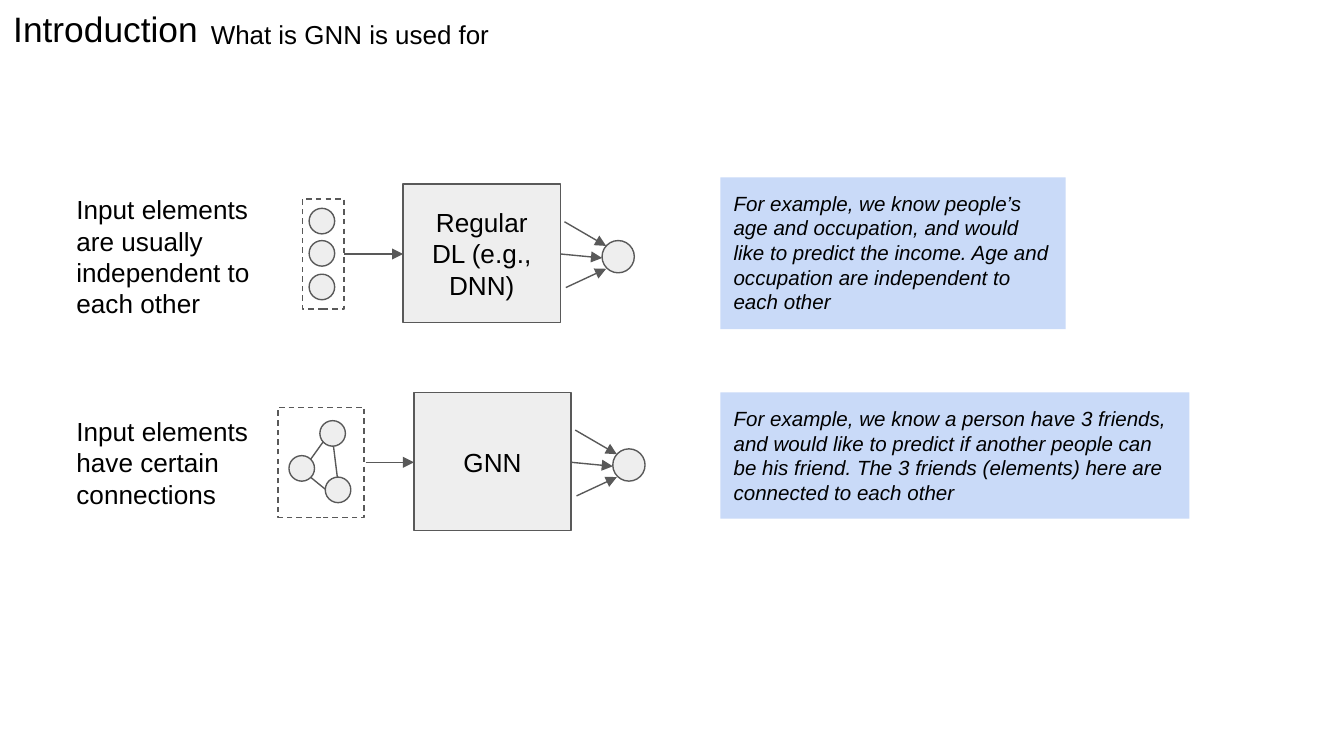
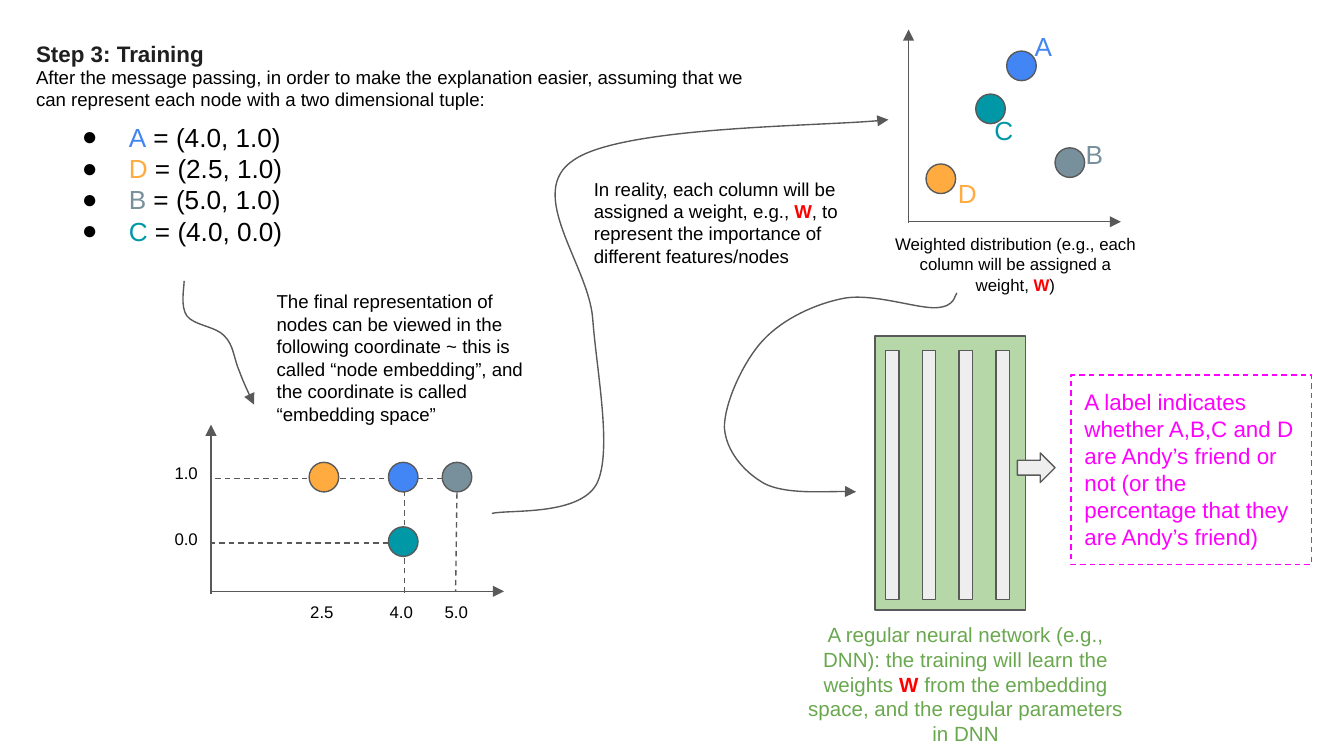
"""Build two slides on what a GNN is used for and how it is trained."""
import pptx
import pptx.dml.color
import pptx.enum.dml
import pptx.enum.shapes
import pptx.enum.text
import pptx.oxml
import pptx.oxml.ns
import pptx.util
from pptx.dml.color import RGBColor
from pptx.enum.shapes import MSO_SHAPE
from pptx.util import Inches

BLACK = RGBColor(0x00, 0x00, 0x00)
HEADING = RGBColor(0x1F, 0x1F, 0x1F)
GREY = RGBColor(0x59, 0x59, 0x59)
LIGHT_GREY = RGBColor(0xEE, 0xEE, 0xEE)
PALE_BLUE = RGBColor(0xC9, 0xDA, 0xF8)
PALE_GREEN = RGBColor(0xB6, 0xD7, 0xA8)
GREEN = RGBColor(0x6A, 0xA8, 0x4F)
MAGENTA = RGBColor(0xFF, 0x00, 0xFF)
RED = RGBColor(0xFF, 0x00, 0x00)
NODE_COLOURS = {
    "A": RGBColor(0x42, 0x85, 0xF4),
    "B": RGBColor(0x78, 0x90, 0x9C),
    "C": RGBColor(0x00, 0x97, 0xA7),
    "D": RGBColor(0xFF, 0xAB, 0x40),
}
FONT = "Arial"
LINE_WIDTH = pptx.util.Pt(0.75)
DASH = pptx.enum.dml.MSO_LINE.DASH
CENTER = pptx.enum.text.PP_ALIGN.CENTER
LEFT = pptx.enum.text.PP_ALIGN.LEFT
TOP = pptx.enum.text.MSO_ANCHOR.TOP
MIDDLE = pptx.enum.text.MSO_ANCHOR.MIDDLE
BOTTOM = pptx.enum.text.MSO_ANCHOR.BOTTOM


def add_box(slide, place, kind=None, fill=None, line=GREY, dashed=False, text=(),
            size=14, colour=BLACK, align=LEFT, anchor=TOP, bold=False, italic=False):
    """Add a shape, or a text box without a kind; text holds paragraphs of (words, colour) runs."""
    place = [Inches(length) for length in place]
    if kind is None:
        shape = slide.shapes.add_textbox(*place)
    else:
        shape = slide.shapes.add_shape(kind, *place)
        shape.shadow.inherit = False
        if fill is None:
            shape.fill.background()
        else:
            shape.fill.solid()
            shape.fill.fore_color.rgb = fill
        if line is None:
            shape.line.fill.background()
        else:
            shape.line.color.rgb = line
            shape.line.width = LINE_WIDTH
            if dashed:
                shape.line.dash_style = DASH
    frame = shape.text_frame
    frame.word_wrap = True
    frame.vertical_anchor = anchor
    frame.margin_left = frame.margin_right = Inches(0.1)
    frame.margin_top = frame.margin_bottom = Inches(0.1)
    paragraphs = [[(text, colour)]] if isinstance(text, str) else text
    for index, runs in enumerate(paragraphs):
        paragraph = frame.add_paragraph() if index else frame.paragraphs[0]
        paragraph.alignment = align
        for words, run_colour in runs:
            run = paragraph.add_run()
            run.text = words
            run.font.name = FONT
            run.font.size = pptx.util.Pt(size)
            run.font.bold = bold or run_colour == RED
            run.font.italic = italic
            run.font.color.rgb = run_colour
    return shape


def add_line(slide, points, arrow=True, dashed=False):
    """Add a straight line through two points, or a Bezier curve through more."""
    points = [(Inches(x), Inches(y)) for x, y in points]
    if len(points) == 2:
        line = slide.shapes.add_connector(
            pptx.enum.shapes.MSO_CONNECTOR.STRAIGHT, *points[0], *points[1])
    else:
        builder = slide.shapes.build_freeform(*points[0])
        builder.add_line_segments(points[1:], close=False)
        line = builder.convert_to_shape()
        line.fill.background()
        segments = list(line.element.iter(pptx.oxml.ns.qn("a:lnTo")))
        for start in range(0, len(segments), 3):
            curve = pptx.oxml.parse_xml(f"<a:cubicBezTo {pptx.oxml.ns.nsdecls('a')}/>")
            segments[start].addprevious(curve)
            for segment in segments[start:start + 3]:
                curve.append(segment[0])
                segment.getparent().remove(segment)
    line.line.color.rgb = GREY
    line.line.width = LINE_WIDTH
    if dashed:
        line.line.dash_style = DASH
    properties = line.element.spPr
    if arrow:
        properties.find(pptx.oxml.ns.qn("a:ln")).append(pptx.oxml.parse_xml(
            f"<a:tailEnd {pptx.oxml.ns.nsdecls('a')} type='triangle'/>"))
    properties.append(pptx.oxml.parse_xml(f"<a:effectLst {pptx.oxml.ns.nsdecls('a')}/>"))


presentation = pptx.Presentation()
presentation.slide_width = Inches(10)
presentation.slide_height = presentation.slide_width * 9 // 16
blank = presentation.slide_layouts[6]

slide = presentation.slides.add_slide(blank)
add_box(slide, (0, 0, 2.05, 0.47), text="Introduction", size=18.9, anchor=BOTTOM)
add_box(slide, (1.47, 0, 2.98, 0.47), text="What is GNN is used for", size=13.9, anchor=BOTTOM)

for place in [(2.25, 1.48, 0.31, 0.82), (2.07, 3.03, 0.64, 0.82)]:
    add_box(slide, place, MSO_SHAPE.RECTANGLE, dashed=True)
for start, end in [((2.41, 3.28), (2.31, 3.42)), ((2.31, 3.55), (2.42, 3.64)),
                   ((2.51, 3.55), (2.48, 3.31))]:
    add_line(slide, [start, end], arrow=False)
for x, y in [(2.3, 1.55), (2.3, 1.79), (2.3, 2.04), (2.38, 3.13), (2.15, 3.39), (2.42, 3.55)]:
    add_box(slide, (x, y, 0.19, 0.19), MSO_SHAPE.OVAL, LIGHT_GREY)

for left, top, model, input_right in [(3, 1.37, "Regular DL (e.g., DNN)", 2.56),
                                      (3.08, 2.92, "GNN", 2.72)]:
    add_box(slide, (left, top, 1.17, 1.03), MSO_SHAPE.RECTANGLE, LIGHT_GREY,
            text=model, align=CENTER, anchor=MIDDLE)
    add_box(slide, (left + 1.48, top + 0.42, 0.24, 0.24), MSO_SHAPE.OVAL, LIGHT_GREY)
    add_line(slide, [(input_right, top + 0.52), (left, top + 0.52)])
    for x1, y1, x2, y2 in [(1.2, 0.28, 1.51, 0.46), (1.17, 0.52, 1.48, 0.55),
                           (1.21, 0.77, 1.51, 0.63)]:
        add_line(slide, [(left + x1, top + y1), (left + x2, top + y2)])

for top, height, text in [
    (1.34, 1.14, "Input elements are usually independent to each other"),
    (2.99, 0.91, "Input elements have certain connections"),
]:
    add_box(slide, (0.47, top, 1.6, height), text=text)
for top, width, height, text in [
    (1.32, 2.57, 1.13, "For example, we know people’s age and occupation, and would like to "
     "predict the income. Age and occupation are independent to each other"),
    (2.92, 3.49, 0.94, "For example, we know a person have 3 friends, and would like to predict "
     "if another people can be his friend. The 3 friends (elements) here are connected to "
     "each other"),
]:
    add_box(slide, (5.36, top, width, height), MSO_SHAPE.RECTANGLE, PALE_BLUE, None,
            text=text, size=11, italic=True)

slide = presentation.slides.add_slide(blank)
heading = add_box(slide, (0.17, 0.17, 5.68, 0.4), text="Step 3: Training", size=12,
                  colour=HEADING, bold=True)
heading.text_frame.paragraphs[0].line_spacing = 1.15
add_box(slide, (0.17, 0.39, 5.67, 0.54), size=10,
        text="After the message passing, in order to make the explanation easier, assuming "
        "that we can represent each node with a two dimensional tuple:")
tuples = [("A", "(4.0, 1.0)"), ("D", "(2.5, 1.0)"), ("B", "(5.0, 1.0)"), ("C", "(4.0, 0.0)")]
tuple_list = add_box(slide, (0.36, 0.8, 2.12, 1.14), text=[
    [(name, NODE_COLOURS[name]), (f" = {value}", BLACK)] for name, value in tuples])
for paragraph in tuple_list.text_frame.paragraphs:
    properties = paragraph._p.get_or_add_pPr()
    properties.set("marL", str(Inches(0.5)))
    properties.set("indent", str(Inches(-0.35)))
    for bullet in ["<a:buClr {}><a:srgbClr val='000000'/></a:buClr>",
                   "<a:buSzPct {} val='100000'/>",
                   "<a:buFont {} typeface='Arial'/>", "<a:buChar {} char='●'/>"]:
        properties.append(pptx.oxml.parse_xml(bullet.format(pptx.oxml.ns.nsdecls("a"))))

for start, end in [((6.76, 1.66), (6.76, 0.22)), ((6.76, 1.65), (8.34, 1.65)),
                   ((1.57, 4.42), (1.57, 3.16)), ((1.57, 4.4), (3.75, 4.4))]:
    add_line(slide, [start, end])
for start, end in [((3.29, 3.56), (1.57, 3.56)), ((3.01, 4.41), (3.01, 3.66)),
                   ((3.4, 3.67), (3.39, 4.4)), ((2.89, 4.04), (1.57, 4.04))]:
    add_line(slide, [start, end], arrow=False, dashed=True)

for name, x, y in [("A", 7.49, 0.38), ("C", 7.26, 0.7), ("B", 7.85, 1.1), ("D", 6.89, 1.22),
                   ("A", 2.89, 3.44), ("C", 2.89, 3.92), ("B", 3.29, 3.44), ("D", 2.3, 3.44)]:
    add_box(slide, (x, y, 0.22, 0.22), MSO_SHAPE.OVAL, NODE_COLOURS[name])
for name, x, y in [("A", 7.6, 0.13), ("B", 7.98, 0.93), ("C", 7.3, 0.75), ("D", 7.03, 1.22)]:
    add_box(slide, (x, y, 0.37, 0.44), text=name, colour=NODE_COLOURS[name])
for value, x, y in [("4.0", 2.8, 4.4), ("5.0", 3.21, 4.4), ("2.5", 2.21, 4.4),
                    ("0.0", 1.2, 3.86), ("1.0", 1.2, 3.37)]:
    add_box(slide, (x, y, 0.38, 0.35), text=value, size=9)

for curve in [
    [(1.37, 2.09), (1.37, 2.14), (1.34, 2.28), (1.39, 2.35), (1.44, 2.42), (1.61, 2.43),
     (1.67, 2.5), (1.74, 2.57), (1.74, 2.67), (1.78, 2.76), (1.81, 2.84), (1.87, 2.97),
     (1.89, 3.01)],
    [(3.66, 3.82), (3.79, 3.79), (4.31, 3.84), (4.44, 3.6), (4.56, 3.36), (4.44, 2.77),
     (4.41, 2.37), (4.38, 1.97), (3.9, 1.43), (4.27, 1.19), (4.63, 0.94), (6.22, 0.94),
     (6.61, 0.89)],
    [(7.12, 2.18), (7.1, 2.2), (7.11, 2.28), (6.97, 2.29), (6.83, 2.3), (6.5, 2.18),
     (6.28, 2.22), (6.07, 2.26), (5.83, 2.37), (5.68, 2.53), (5.53, 2.69), (5.39, 3),
     (5.39, 3.18), (5.4, 3.35), (5.53, 3.51), (5.69, 3.6), (5.85, 3.68), (6.25, 3.65),
     (6.37, 3.66)],
]:
    add_line(slide, curve)

add_box(slide, (6.51, 2.5, 1.12, 2.04), MSO_SHAPE.RECTANGLE, PALE_GREEN)
for layer in range(4):
    add_box(slide, (6.59 + layer * 0.82 / 3, 2.61, 0.1, 1.85), MSO_SHAPE.RECTANGLE, LIGHT_GREY)
add_box(slide, (7.57, 3.37, 0.28, 0.22), MSO_SHAPE.RIGHT_ARROW, LIGHT_GREY)

add_box(slide, (1.96, 2.06, 2.12, 1.21), size=10,
        text="The final representation of nodes can be viewed in the following coordinate ~ "
        "this is called “node embedding”, and the coordinate is called “embedding space”")
for place, size, align, colour, before, after in [
    ((6.53, 1.64, 2.05, 0.66), 9, CENTER, BLACK,
     "Weighted distribution (e.g., each column will be assigned a weight, ", ")"),
    ((4.32, 1.22, 2.12, 0.88), 10, LEFT, BLACK,
     "In reality, each column will be assigned a weight, e.g., ",
     ", to represent the importance of different features/nodes"),
    ((5.87, 4.53, 2.63, 1.13), 11, CENTER, GREEN,
     "A regular neural network (e.g., DNN): the training will learn the weights ",
     " from the embedding space, and the regular parameters in DNN"),
]:
    add_box(slide, place, text=[[(before, colour), ("W", RED), (after, colour)]],
            size=size, align=align)
add_box(slide, (7.97, 2.79, 1.79, 1.41), MSO_SHAPE.RECTANGLE, line=MAGENTA, dashed=True,
        size=12, colour=MAGENTA,
        text="A label indicates whether A,B,C and D are Andy’s friend or not "
        "(or the percentage that they are Andy’s friend)")

presentation.save("out.pptx")
